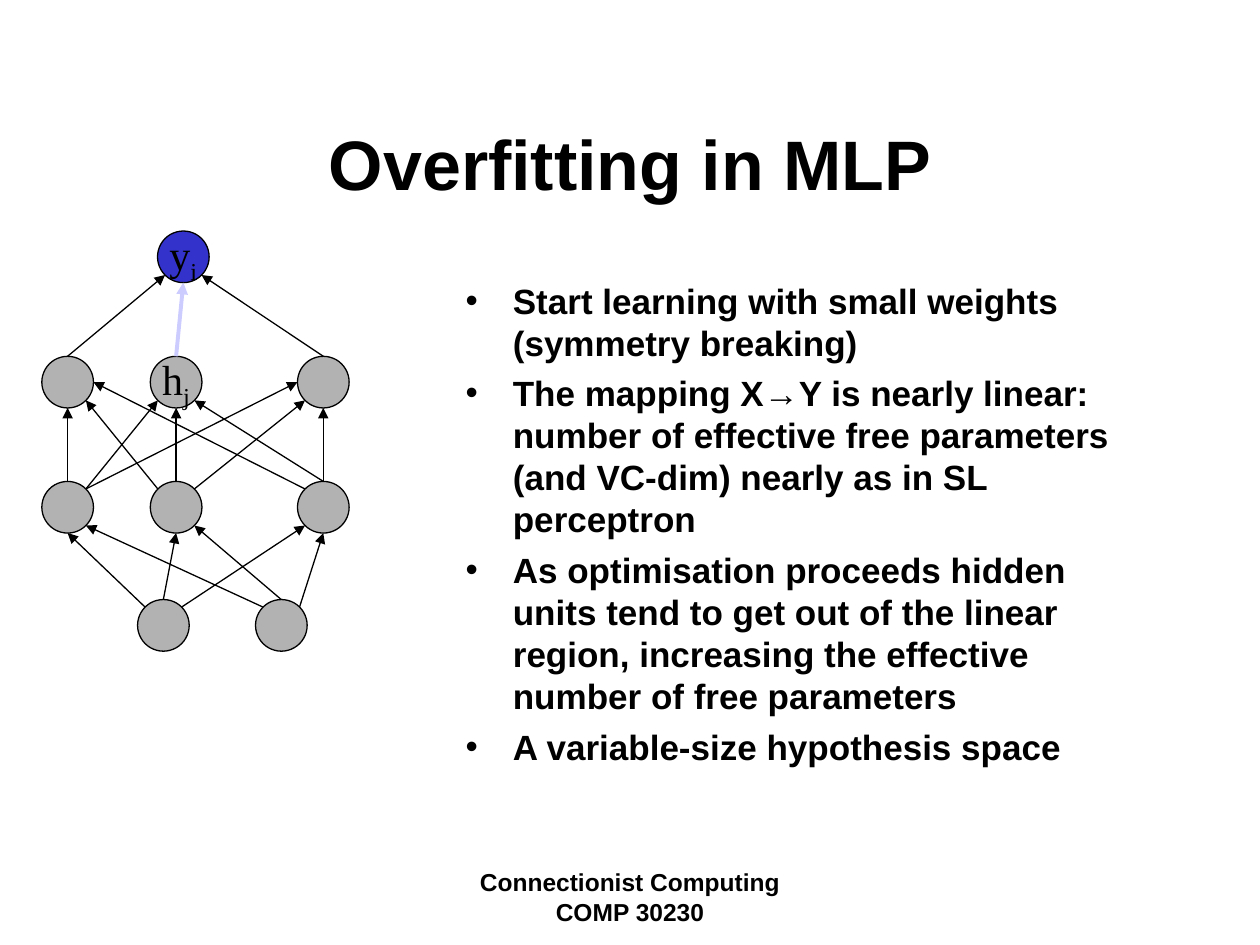
"""Build the slide on overfitting in a multilayer perceptron."""
from dataclasses import dataclass
from math import cos, radians, sin

from lxml import etree
from pptx import Presentation
from pptx.dml.color import RGBColor
from pptx.enum import shapes, text
from pptx.oxml import ns
from pptx.util import Pt

BLACK = RGBColor(0x00, 0x00, 0x00)
GREY = RGBColor(0xB2, 0xB2, 0xB2)
BLUE = RGBColor(0x33, 0x33, 0xCC)
LILAC = RGBColor(0xCC, 0xCC, 0xFF)
DIAMETER = 29.5
ANGLES = {"R": 0, "BR": 45, "B": 90, "BL": 135, "L": 180, "TL": 225, "T": 270, "TR": 315}


@dataclass
class Node:
    x: float
    y: float
    fill: RGBColor = GREY
    label: str = ""
    index: str = ""

    def site(self, side: str) -> tuple:
        a, r = radians(ANGLES[side]), DIAMETER / 2
        return Pt(self.x + r + r * cos(a)), Pt(self.y + r + r * sin(a))


@dataclass
class Link:
    start: str
    start_side: str
    end: str
    end_side: str
    color: RGBColor = BLACK
    width: float = 0.75


COLUMNS = (23.9, 85.9, 170)
NODES = {
    "output": Node(90, 132, BLUE, "y", "i"),
    **{f"upper{i}": Node(x, 203.6) for i, x in enumerate(COLUMNS)},
    **{f"lower{i}": Node(x, 275.1) for i, x in enumerate(COLUMNS)},
    "input0": Node(78.6, 342.6),
    "input1": Node(146, 342.6),
}
NODES["upper1"].label, NODES["upper1"].index = "h", "j"

LINKS = [
    Link("lower0", "T", "upper0", "B"),
    Link("lower0", "TR", "upper1", "BL"),
    Link("lower0", "TR", "upper2", "L"),
    Link("lower1", "TL", "upper0", "BR"),
    Link("lower1", "T", "upper1", "B", width=1),
    Link("lower1", "TR", "upper2", "BL"),
    Link("lower2", "TL", "upper0", "R"),
    Link("lower2", "T", "upper1", "BR"),
    Link("lower2", "T", "upper2", "B"),
    Link("upper0", "T", "output", "BL"),
    Link("upper1", "T", "output", "B", LILAC, 2.25),
    Link("upper2", "T", "output", "BR"),
    Link("input0", "TL", "lower0", "B"),
    Link("input0", "T", "lower1", "B"),
    Link("input0", "TR", "lower2", "BL"),
    Link("input1", "TL", "lower0", "BR"),
    Link("input1", "T", "lower1", "BR"),
    Link("input1", "TR", "lower2", "B"),
]

BULLETS = [
    "Start learning with small weights (symmetry breaking)",
    "The mapping X→Y is nearly linear: number of effective free parameters "
    "(and VC-dim) nearly as in SL perceptron",
    "As optimisation proceeds hidden units tend to get out of the linear region, "
    "increasing the effective number of free parameters",
    "A variable-size hypothesis space",
]


def add_text(p, words: str, *, size: float, font: str = "Arial", bold: bool = True,
             align=text.PP_ALIGN.CENTER, baseline: int = 0) -> None:
    p.alignment = align
    r = p.add_run()
    r.text = words
    r.font.size, r.font.name, r.font.bold = Pt(size), font, bold
    r.font.color.rgb = BLACK
    if baseline:
        r._r.get_or_add_rPr().set("baseline", str(baseline * 1000))


def add_box(s, x: float, y: float, w: float, h: float):
    tf = s.shapes.add_textbox(Pt(x), Pt(y), Pt(w), Pt(h)).text_frame
    tf.word_wrap = True
    return tf


def add_bullet(p, words: str) -> None:
    p.space_before = Pt(5)
    add_text(p, words, size=20, align=text.PP_ALIGN.LEFT)
    pPr = p._p.get_or_add_pPr()
    pPr.set("marL", str(Pt(27)))
    pPr.set("indent", str(Pt(-27)))
    etree.SubElement(pPr, ns.qn("a:buFont"), typeface="Arial")
    etree.SubElement(pPr, ns.qn("a:buChar"), char="•")


def draw_node(s, node: Node) -> None:
    sp = s.shapes.add_shape(shapes.MSO_SHAPE.OVAL, Pt(node.x), Pt(node.y),
                            Pt(DIAMETER), Pt(DIAMETER))
    sp.shadow.inherit = False
    sp.fill.solid()
    sp.fill.fore_color.rgb = node.fill
    sp.line.color.rgb, sp.line.width = BLACK, Pt(0.75)
    if node.label:
        tf = sp.text_frame
        tf.word_wrap = False
        tf.vertical_anchor = text.MSO_ANCHOR.MIDDLE
        for words, baseline in ((node.label, 0), (node.index, -25)):
            add_text(tf.paragraphs[0], words, size=24, font="Times New Roman",
                     bold=False, baseline=baseline)


def draw_link(s, link: Link) -> None:
    start = NODES[link.start].site(link.start_side)
    end = NODES[link.end].site(link.end_side)
    sp = s.shapes.add_connector(shapes.MSO_CONNECTOR.STRAIGHT, *start, *end)
    sp.line.color.rgb, sp.line.width = link.color, Pt(link.width)
    etree.SubElement(sp.line._get_or_add_ln(), ns.qn("a:tailEnd"), type="triangle")
    etree.SubElement(sp._element.spPr, ns.qn("a:effectLst"))


def main() -> None:
    prs = Presentation()
    prs.slide_width, prs.slide_height = Pt(720), Pt(540)
    s = prs.slides.add_slide(prs.slide_layouts[5])

    title = s.shapes.title
    title.left, title.top, title.width, title.height = Pt(54), Pt(48), Pt(612), Pt(90)
    title.text_frame.auto_size = text.MSO_AUTO_SIZE.NONE
    title.text_frame.vertical_anchor = text.MSO_ANCHOR.MIDDLE
    add_text(title.text_frame.paragraphs[0], "Overfitting in MLP", size=40)

    tf = add_box(s, 259, 156, 407, 324)
    for i, words in enumerate(BULLETS):
        add_bullet(tf.add_paragraph() if i else tf.paragraphs[0], words)

    for node in NODES.values():
        draw_node(s, node)
    for link in LINKS:
        draw_link(s, link)

    footer = add_box(s, 246, 492, 228, 36)
    add_text(footer.paragraphs[0], "Connectionist Computing COMP 30230", size=14)
    prs.save("out.pptx")


if __name__ == "__main__":
    main()
